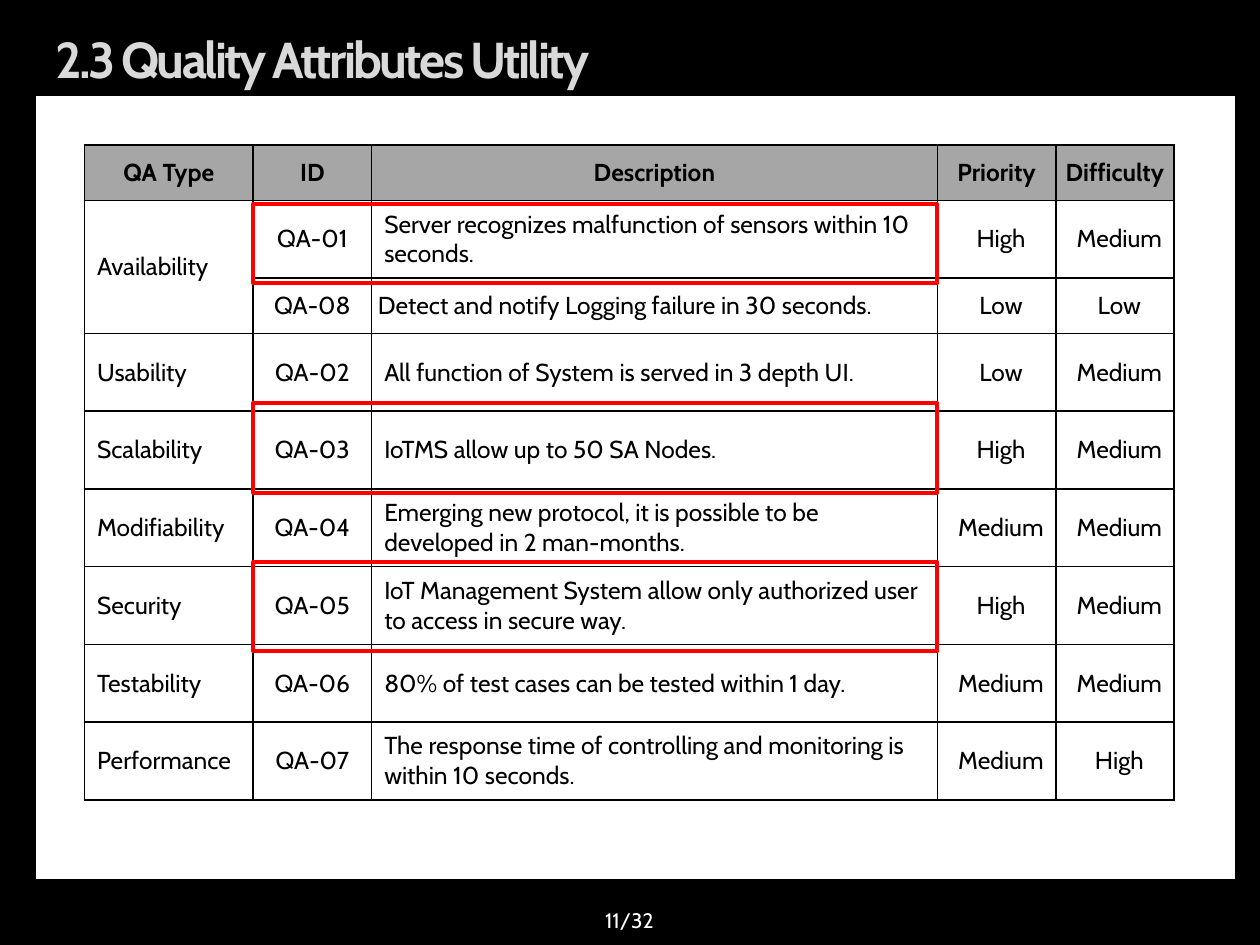
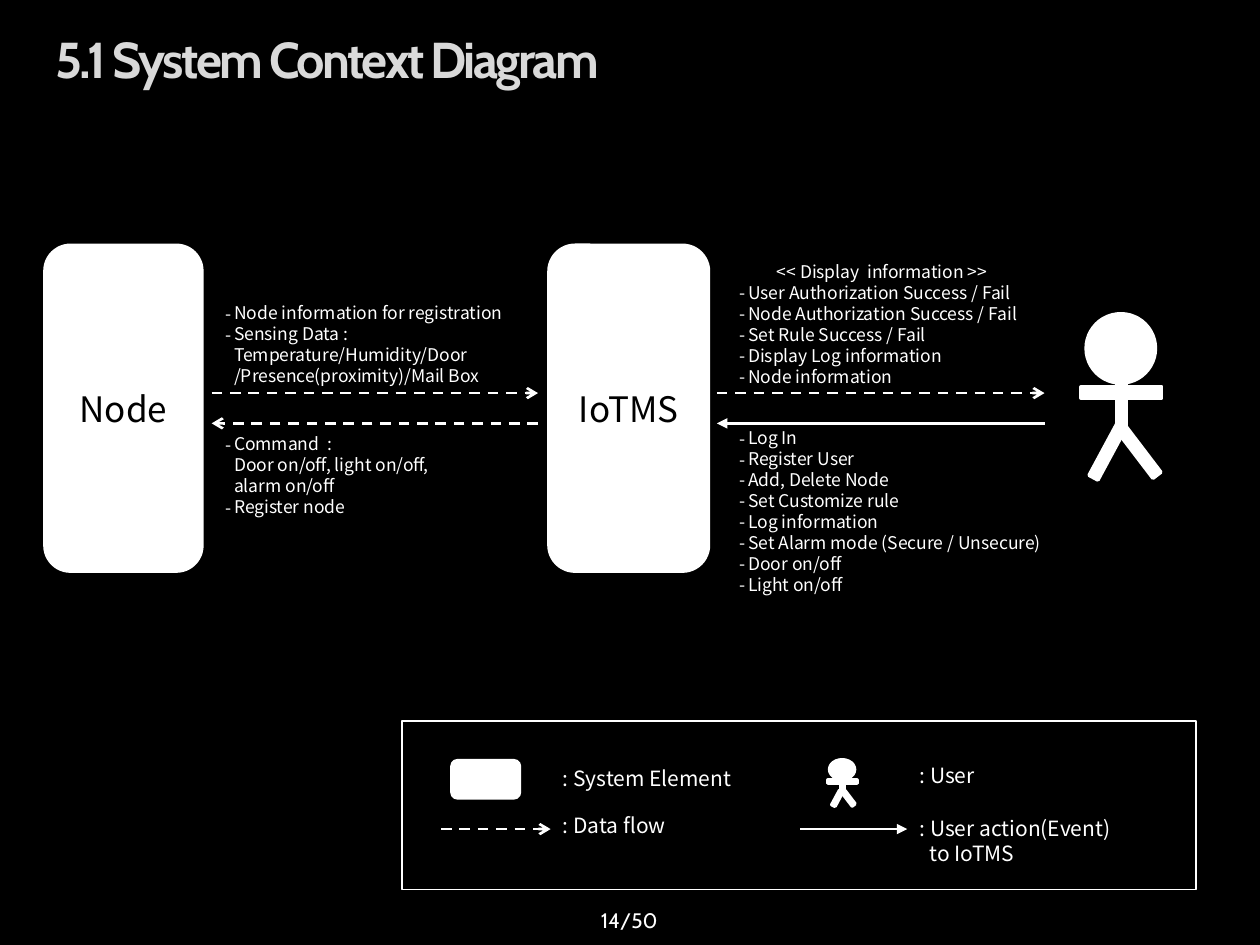
from dataclasses import dataclass

from lxml import etree
from pptx import Presentation
from pptx.dml.color import RGBColor
from pptx.enum import dml, shapes, text
from pptx.oxml.ns import qn
from pptx.util import Inches, Pt


@dataclass(frozen=True)
class Theme:
    black: str = "000000"
    white: str = "FFFFFF"
    title: str = "D9D9D9"
    header: str = "A6A6A6"
    accent: str = "FF0000"
    heading_font: str = "Cabin"
    diagram_font: str = "Noto Sans CJK KR"
    title_size: float = 28.8
    page_size: float = 12
    table_size: float = 14
    element_size: float = 20
    flow_size: float = 10
    legend_size: float = 12
    line_ratio: float = 1.2


THEME = Theme()
CENTER, LEFT = text.PP_ALIGN.CENTER, text.PP_ALIGN.LEFT
MIDDLE, TOP = text.MSO_ANCHOR.MIDDLE, text.MSO_ANCHOR.TOP
RECT = shapes.MSO_SHAPE.RECTANGLE
ROUNDED = shapes.MSO_SHAPE.ROUNDED_RECTANGLE
OVAL = shapes.MSO_SHAPE.OVAL

UTILITY = {
    "title": "2.3 Quality Attributes Utility",
    "page": "11/32",
    "panel": (0.28, 0.76, 9.53, 6.22),
    "place": (0.67, 1.15, 8.66, 5.2),
    "columns": (1.34, 0.94, 4.49, 0.94, 0.94),
    "short_rows": (0, 2),
    "short_height": 0.44,
    "rows": [
        ("QA Type", "ID", "Description", "Priority", "Difficulty"),
        ("Availability", "QA-01", "Server recognizes malfunction of sensors within 10 seconds.", "High", "Medium"),
        ("", "QA-08", "Detect and notify Logging failure in 30 seconds.", "Low", "Low"),
        ("Usability", "QA-02", "All function of System is served in 3 depth UI.", "Low", "Medium"),
        ("Scalability", "QA-03", "IoTMS allow up to 50 SA Nodes.", "High", "Medium"),
        ("Modifiability", "QA-04",
         "Emerging new protocol, it is possible to be developed in 2 man-months.", "Medium", "Medium"),
        ("Security", "QA-05",
         "IoT Management System allow only authorized user to access in secure way.", "High", "Medium"),
        ("Testability", "QA-06", "80% of test cases can be tested within 1 day.", "Medium", "Medium"),
        ("Performance", "QA-07",
         "The response time of controlling and monitoring is within 10 seconds.", "Medium", "High"),
    ],
    "highlights": [(1.62, 0.63), (3.2, 0.71), (4.46, 0.71)],
}

CONTEXT = {
    "title": "5.1 System Context Diagram",
    "page": "14/50",
    "elements": [("IoTMS", (4.35, 1.94, 1.28, 2.6)), ("Node", (0.35, 1.94, 1.26, 2.6))],
    "legend_frame": (3.19, 5.72, 6.3, 1.34),
    "legend_element": (3.58, 6.03, 0.55, 0.31),
    "data_flows": [(1.68, 4.27, 3.12), (4.27, 1.68, 3.36), (5.69, 8.29, 3.12), (3.5, 4.37, 6.58)],
    "user_actions": [(8.29, 5.69, 3.36), (6.35, 7.2, 6.58)],
    "messages": [
        ((1.69, 2.35, 2.83, 0.77), None, [
            "Node information for registration",
            "Sensing Data :\vTemperature/Humidity/Door\v/Presence(proximity)/Mail Box"]),
        ((1.69, 3.39, 2.44, 0.77), None, [
            "Command  :\vDoor on/off, light on/off,\valarm on/off",
            "Register node"]),
        ((5.77, 2.02, 2.46, 1.11), "<< Display  information >>", [
            "User Authorization Success / Fail", "Node Authorization Success / Fail",
            "Set Rule Success / Fail", "Display Log information", "Node information"]),
        ((5.77, 3.34, 2.7, 1.45), None, [
            "Log In", "Register User", "Add, Delete Node", "Set Customize rule", "Log information",
            "Set Alarm mode (Secure / Unsecure)", "Door on/off", "Light on/off"]),
    ],
    "captions": [
        (": System Element", (4.37, 6.03, 1.57, 0.3)),
        (": Data flow", (4.37, 6.4, 1.57, 0.3)),
        (": User", (7.2, 6, 1.57, 0.3)),
        (": User action(Event)\vto IoTMS", (7.2, 6.42, 2.05, 0.5)),
    ],
    "user": (8.58, 2.49, 1, 1),
    "legend_user": (6.57, 6.03, 0.36, 0.28),
}

USER_BODY = [
    (OVAL, (0.04, 0, 0.55, 0.55), 0),
    (RECT, (0.28, 0.55, 0.08, 0.39), 0),
    (RECT, (0, 0.58, 0.64, 0.09), 0),
    (RECT, (0.17, 0.86, 0.08, 0.47), 28.3),
    (RECT, (0.42, 0.86, 0.08, 0.47), 322.7),
]


def apply(target, **values):
    for name, value in values.items():
        setattr(target, name, value)


def rgb(color):
    return RGBColor.from_string(color)


def inches(place):
    return [Inches(length) for length in place]


def write(paragraph, words, font, size, color, align=LEFT, bold=False):
    paragraph.text = words
    paragraph.alignment = align
    for run in paragraph.runs:
        apply(run.font, name=font, size=Pt(size), bold=bold)
        run.font.color.rgb = rgb(color)


def write_diagram(paragraph, words, size, color=THEME.white, align=LEFT, hang=0, bullet=None):
    write(paragraph, words, THEME.diagram_font, size, color, align)
    paragraph.line_spacing = Pt(size * THEME.line_ratio)
    properties = paragraph._p.get_or_add_pPr()
    if hang:
        properties.set("marL", str(Inches(hang)))
        properties.set("indent", str(-Inches(hang)))
    if bullet:
        etree.SubElement(properties, qn("a:buFont"), typeface=THEME.diagram_font)
        etree.SubElement(properties, qn("a:buChar"), char=bullet)


def add_frame(slide, place, anchor=TOP):
    frame = slide.shapes.add_textbox(*inches(place)).text_frame
    apply(frame, word_wrap=True, vertical_anchor=anchor)
    return frame


def add_block(parent, kind, place, fill, line, width, rotation=0):
    block = parent.add_shape(kind, *inches(place))
    apply(block, rotation=rotation)
    block.shadow.inherit = False
    if fill:
        block.fill.solid()
        block.fill.fore_color.rgb = rgb(fill)
    else:
        block.fill.background()
    block.line.color.rgb = rgb(line)
    block.line.width = Pt(width)
    return block


def add_arrow(slide, start, end, height, head, dash=None):
    arrow = slide.shapes.add_connector(
        shapes.MSO_CONNECTOR.STRAIGHT, *inches((start, height, end, height)))
    arrow.line.color.rgb = rgb(THEME.white)
    apply(arrow.line, width=Pt(1.5), dash_style=dash)
    properties = arrow._element.spPr
    etree.SubElement(properties.find(qn("a:ln")), qn("a:tailEnd"), type=head)
    etree.SubElement(properties, qn("a:effectLst"))


def add_user(parent, left, top, scale_x, scale_y):
    for kind, (x, y, width, height), rotation in USER_BODY:
        place = (left + x * scale_x, top + y * scale_y, width * scale_x, height * scale_y)
        add_block(parent, kind, place, THEME.white, THEME.white, 2, rotation)


def start_slide(deck, content):
    slide = deck.slides.add_slide(deck.slide_layouts[6])
    title = add_frame(slide, (0.34, 0.21, 9.14, 0.51), MIDDLE).paragraphs[0]
    write(title, content["title"], THEME.heading_font, THEME.title_size, THEME.title, bold=True)
    title.runs[0].font._element.set("spc", "-150")
    page = add_frame(slide, (3.83, 7.1, 2.33, 0.4), MIDDLE).paragraphs[0]
    write(page, content["page"], THEME.heading_font, THEME.page_size, THEME.white, CENTER)
    return slide


def border(cell):
    properties = cell._tc.get_or_add_tcPr()
    for position, side in enumerate(("lnL", "lnR", "lnT", "lnB")):
        edge = etree.Element(qn(f"a:{side}"), w=str(Pt(1)))
        fill = etree.SubElement(edge, qn("a:solidFill"))
        etree.SubElement(fill, qn("a:srgbClr"), val=THEME.black)
        properties.insert(position, edge)


def cell_margins(row, column):
    if column > 2:
        return dict(margin_left=Inches(0.07 if row else 0), margin_right=0, margin_top=0, margin_bottom=0)
    if row == 2 and column == 2:
        return dict(margin_left=Inches(0.05), margin_right=0)
    return {}


def build_utility(deck):
    slide = start_slide(deck, UTILITY)
    add_block(slide.shapes, RECT, UTILITY["panel"], THEME.white, THEME.black, 0.75)
    rows, columns, short = UTILITY["rows"], UTILITY["columns"], UTILITY["short_rows"]
    table = slide.shapes.add_table(len(rows), len(columns), *inches(UTILITY["place"])).table
    for column, width in zip(table.columns, columns):
        column.width = Inches(width)
    short_height = UTILITY["short_height"]
    tall_height = (UTILITY["place"][3] - len(short) * short_height) / (len(rows) - len(short))
    for r, values in enumerate(rows):
        table.rows[r].height = Inches(short_height if r in short else tall_height)
        for c, words in enumerate(values):
            cell = table.cell(r, c)
            align = LEFT if r and c in (0, 2) else CENTER
            write(cell.text_frame.paragraphs[0], words, THEME.heading_font, THEME.table_size,
                  THEME.black, align, bold=r == 0)
            apply(cell, vertical_anchor=MIDDLE, **cell_margins(r, c))
            cell.fill.solid()
            cell.fill.fore_color.rgb = rgb(THEME.white if r else THEME.header)
            border(cell)
    table.cell(1, 0).merge(table.cell(2, 0))
    left = UTILITY["place"][0] + columns[0]
    for top, height in UTILITY["highlights"]:
        add_block(slide.shapes, RECT, (left, top, sum(columns[1:3]), height), None, THEME.accent, 2.25)


def build_context(deck):
    slide = start_slide(deck, CONTEXT)
    for name, place in CONTEXT["elements"]:
        element = add_block(slide.shapes, ROUNDED, place, THEME.white, THEME.white, 1)
        element.text_frame.vertical_anchor = MIDDLE
        write_diagram(element.text_frame.paragraphs[0], name, THEME.element_size, THEME.black, CENTER)
    add_block(slide.shapes, RECT, CONTEXT["legend_frame"], THEME.black, THEME.white, 1)
    add_block(slide.shapes, ROUNDED, CONTEXT["legend_element"], THEME.white, THEME.white, 1)
    for flow in CONTEXT["data_flows"]:
        add_arrow(slide, *flow, "arrow", dml.MSO_LINE.DASH)
    for action in CONTEXT["user_actions"]:
        add_arrow(slide, *action, "triangle")
    for place, heading, items in CONTEXT["messages"]:
        frame = add_frame(slide, place)
        paragraph = frame.paragraphs[0]
        if heading:
            write_diagram(paragraph, heading, THEME.flow_size, align=CENTER)
            paragraph = frame.add_paragraph()
        for index, item in enumerate(items):
            paragraph = frame.add_paragraph() if index else paragraph
            write_diagram(paragraph, item, THEME.flow_size, hang=0.07, bullet="-")
    for caption, place in CONTEXT["captions"]:
        write_diagram(add_frame(slide, place).paragraphs[0], caption, THEME.legend_size, hang=0.08)
    add_user(slide.shapes, *CONTEXT["user"])
    add_user(slide.shapes.add_group_shape().shapes, *CONTEXT["legend_user"])


def main():
    deck = Presentation()
    apply(deck, slide_width=Inches(10), slide_height=Inches(7.5))
    backdrop = deck.slide_master.background.fill
    backdrop.solid()
    backdrop.fore_color.rgb = rgb(THEME.black)
    build_utility(deck)
    build_context(deck)
    deck.save("out.pptx")


if __name__ == "__main__":
    main()
